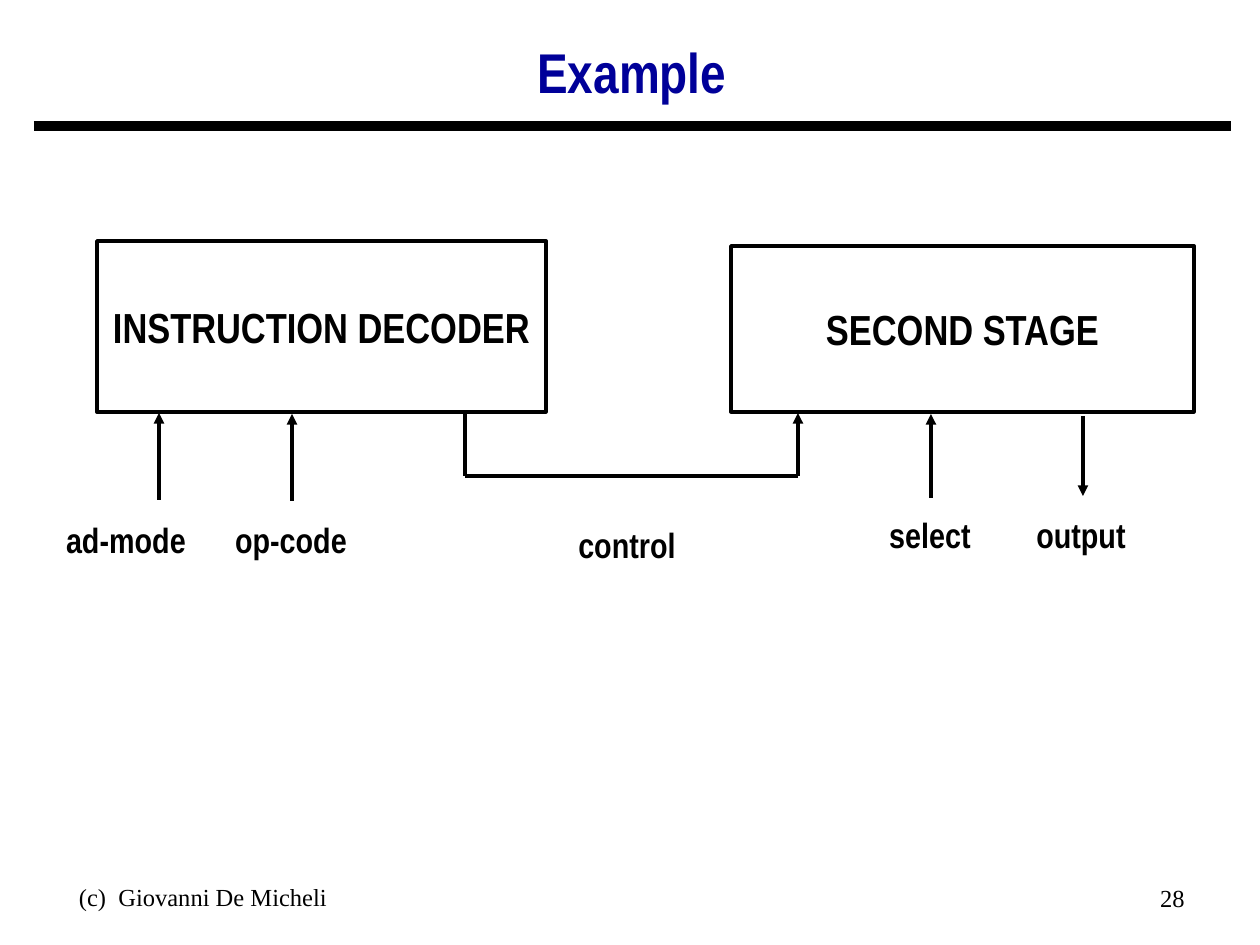
from lxml.etree import SubElement
from pptx import Presentation
from pptx.dml.color import RGBColor
from pptx.enum.shapes import MSO_CONNECTOR, MSO_SHAPE
from pptx.enum.text import MSO_ANCHOR, PP_ALIGN
from pptx.oxml.ns import qn
from pptx.util import Pt

PX = 914400 / 126
BLACK, NAVY = "000000", "000099"
SANS, SERIF = "Arial Narrow", "Times New Roman"
MID, RIGHT = PP_ALIGN.CENTER, PP_ALIGN.RIGHT

# Content: places are left, top, width, height in px
TITLE = ("Example", (33, 28, 1198, 94))
STAGES = [
    ("INSTRUCTION DECODER", (97, 241, 449, 171)),
    ("SECOND STAGE", (731, 246, 463, 166)),
]
LABELS = [  # text, centre x, centre y
    ("ad-mode", 126, 539),
    ("op-code", 291, 539),
    ("control", 627, 544),
    ("select", 930, 535),
    ("output", 1081, 535),
]
LINES = [  # x1, y1, x2, y2, points wide, arrow at end
    (34, 126, 1231, 126, 6, False),
    (159, 500, 159, 413, 2, True),
    (292, 501, 292, 414, 2, True),
    (465, 413, 465, 476, 2, False),
    (465, 476, 798, 476, 2, False),
    (798, 476, 798, 413, 2, True),
    (931, 498, 931, 414, 2, True),
    (1083, 416, 1083, 496, 2, True),
]
FOOTERS = [
    ("(c)  Giovanni De Micheli", (4, 876, 398, 66), MID),
    ("28", (903, 877, 294, 66), RIGHT),
]
HEAD = dict(name=SANS, size=Pt(32), bold=True)
STAGE = dict(name=SANS, size=Pt(24), bold=True)
LABEL = dict(name=SANS, size=Pt(20), bold=True)
FOOT = dict(name=SERIF, size=Pt(14), bold=False)


def emu(*vals):
    return [round(v * PX) for v in vals]


def paint(color, code):
    color.rgb = RGBColor.from_string(code)


def write(shape, text, form, code=BLACK, align=MID, anchor=MSO_ANCHOR.MIDDLE,
          wrap=True):
    frame = shape.text_frame
    frame.word_wrap, frame.vertical_anchor = wrap, anchor
    para = frame.paragraphs[0]
    para.alignment = align
    run = para.add_run()
    run.text = text
    for key, val in form.items():
        setattr(run.font, key, val)
    paint(run.font.color, code)
    return para


def draw(shapes, x1, y1, x2, y2, wide, arrow):
    line = shapes.add_connector(MSO_CONNECTOR.STRAIGHT, *emu(x1, y1, x2, y2))
    line.line.width = Pt(wide)
    paint(line.line.color, BLACK)
    if arrow:
        SubElement(line.line._get_or_add_ln(), qn("a:tailEnd"), type="triangle")
    SubElement(line._element.spPr, qn("a:effectLst"))


def main():
    deck = Presentation()
    deck.slide_width, deck.slide_height = emu(1260, 945)
    slide = deck.slides.add_slide(deck.slide_layouts[5])
    shapes = slide.shapes

    # Title
    text, place = TITLE
    head = shapes.title
    head.left, head.top, head.width, head.height = emu(*place)
    write(head, text, HEAD, NAVY).line_spacing = 0.9

    # Stage boxes
    for text, place in STAGES:
        box = shapes.add_shape(MSO_SHAPE.RECTANGLE, *emu(*place))
        box.shadow.inherit = False
        box.fill.background()
        box.line.width = Pt(2)
        paint(box.line.color, BLACK)
        write(box, text, STAGE, wrap=False)

    # Title rule and signal lines
    for line in LINES:
        draw(shapes, *line)

    # Signal labels
    wide, high = 150, 56
    for text, x, y in LABELS:
        place = emu(x - wide / 2, y - high / 2, wide, high)
        write(shapes.add_textbox(*place), text, LABEL, wrap=False)

    # Footer and page number
    for text, place, align in FOOTERS:
        write(shapes.add_textbox(*emu(*place)), text, FOOT,
              align=align, anchor=MSO_ANCHOR.TOP)

    deck.save("out.pptx")


if __name__ == "__main__":
    main()
